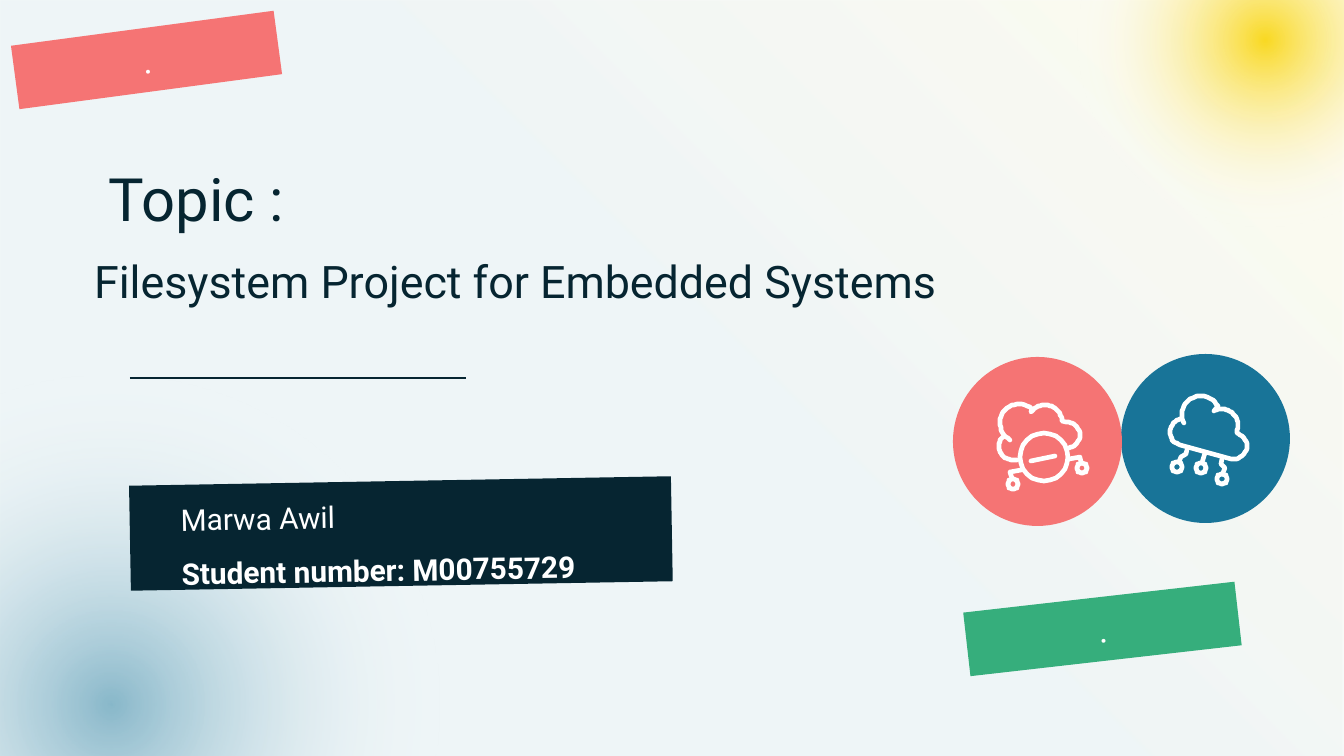
from math import cos, radians, sin

from lxml import etree
from pptx import Presentation
from pptx.dml.color import RGBColor
from pptx.enum.shapes import MSO_CONNECTOR, MSO_SHAPE
from pptx.enum.text import MSO_ANCHOR, PP_ALIGN
from pptx.oxml import parse_xml
from pptx.oxml.ns import nsdecls, qn
from pptx.util import Pt

PX = 6804
WIDTH, HEIGHT = 1344, 756
RECT, OVAL = MSO_SHAPE.RECTANGLE, MSO_SHAPE.OVAL
STRAIGHT = MSO_CONNECTOR.STRAIGHT
TOP, MIDDLE = MSO_ANCHOR.TOP, MSO_ANCHOR.MIDDLE
LEFT, CENTER = PP_ALIGN.LEFT, PP_ALIGN.CENTER
COLORS = {
    "ink": "062531",
    "white": "FFFFFF",
    "blue": "187498",
    "coral": "F57474",
    "green": "36AE7C",
    "yellow": "F9D923",
}
FRAME_FORMAT = {
    "word_wrap": True,
    "margin_left": 0,
    "margin_right": 0,
    "margin_top": 0,
    "margin_bottom": 0,
}
LINEAR = '<a:lin ang="18900000" scaled="0"/>'
RADIAL = ('<a:path path="circle"><a:fillToRect l="50000" t="50000" '
          'r="50000" b="50000"/></a:path>')
ICON_STROKE = 2.5
NODE_RADIUS = 5


def rgb(color):
    return RGBColor.from_string(COLORS[color])


def add_block(slide, kind, box, fill=None, rotation=0):
    block = slide.shapes.add_shape(kind, *(PX * side for side in box))
    block.shadow.inherit = False
    block.rotation = rotation
    block.line.fill.background()
    if fill:
        block.fill.solid()
        block.fill.fore_color.rgb = rgb(fill)
    else:
        block.fill.background()
    return block


def add_glow(slide, kind, box, stops, direction):
    glow = add_block(slide, kind, box)
    stop_list = "".join(
        f'<a:gs pos="{position * 1000}"><a:srgbClr val="{COLORS[color]}">'
        f'<a:alpha val="{opacity * 1000}"/></a:srgbClr></a:gs>'
        for position, color, opacity in stops)
    gradient = parse_xml(
        f'<a:gradFill {nsdecls("a")} rotWithShape="1">'
        f'<a:gsLst>{stop_list}</a:gsLst>{direction}</a:gradFill>')
    properties = glow._element.spPr
    properties.replace(properties.find(qn("a:noFill")), gradient)


def write_text(holder, lines, size, color, anchor=TOP, align=LEFT,
               spacing=1.0):
    frame = holder.text_frame
    for name, value in {**FRAME_FORMAT, "vertical_anchor": anchor}.items():
        setattr(frame, name, value)
    for index, (words, bold) in enumerate(lines):
        paragraph = frame.add_paragraph() if index else frame.paragraphs[0]
        paragraph.alignment = align
        paragraph.line_spacing = spacing
        run = paragraph.add_run()
        run.text = words
        font_format = {"name": "Roboto", "size": Pt(size), "bold": bold}
        for name, value in font_format.items():
            setattr(run.font, name, value)
        run.font.color.rgb = rgb(color)


def add_bullets(holder, color, indent):
    for paragraph in holder.text_frame.paragraphs:
        properties = paragraph._p.get_or_add_pPr()
        properties.set("marL", str(indent * PX))
        properties.set("indent", str(-indent * PX))
        bullet_color = etree.SubElement(properties, qn("a:buClr"))
        etree.SubElement(bullet_color, qn("a:srgbClr"), val=COLORS[color])
        etree.SubElement(properties, qn("a:buChar"), char="•")


def add_heading(slide, box, words, size):
    heading = slide.shapes.add_textbox(*(PX * side for side in box))
    write_text(heading, [(words, False)], size, "ink")


def add_tape(slide, box, fill, rotation):
    tape = add_block(slide, RECT, box, fill, rotation)
    write_text(tape, [(".", False)], 19, "white", MIDDLE, CENTER)


def set_stroke(outline, color, width):
    outline.line.color.rgb = rgb(color)
    outline.line.width = Pt(width)


def round_ends(stroke):
    stroke._element.spPr.get_or_add_ln().set("cap", "rnd")


def add_rule(slide, start, end, color, width):
    rule = slide.shapes.add_connector(
        STRAIGHT, *(PX * value for value in (*start, *end)))
    set_stroke(rule, color, width)
    etree.SubElement(rule._element.spPr, qn("a:effectLst"))
    return rule


def arc(x, y, radius, start=0, end=360, steps=24):
    angles = (radians(start + (end - start) * step / steps)
              for step in range(steps + 1))
    return [(x + radius * cos(angle), y + radius * sin(angle))
            for angle in angles]


def add_icon(slide, strokes):
    builder = slide.shapes.build_freeform(*strokes[0][0], scale=PX)
    for index, points in enumerate(strokes):
        if index:
            builder.move_to(*points[0])
        builder.add_line_segments(points[1:], close=False)
    icon = builder.convert_to_shape()
    icon.shadow.inherit = False
    icon.fill.background()
    set_stroke(icon, "white", ICON_STROKE)
    round_ends(icon)


def add_badge(slide, box, fill, clouds, legs, rings):
    add_block(slide, OVAL, box, fill)
    outlines = [[point for bump in cloud for point in arc(*bump)]
                for cloud in clouds]
    add_icon(slide, outlines + legs + [arc(*ring) for ring in rings])


def main():
    deck = Presentation()
    deck.slide_width, deck.slide_height = WIDTH * PX, HEIGHT * PX
    slide = deck.slides.add_slide(deck.slide_layouts[6])

    add_glow(slide, RECT, (0, 0, WIDTH, HEIGHT),
             [(0, "blue", 7), (50, "blue", 7), (100, "yellow", 7)], LINEAR)
    fade = [(50, "white", 0), (100, "white", 0)]
    add_glow(slide, OVAL, (1000, -225, 530, 530),
             [(0, "yellow", 100), *fade], RADIAL)
    add_glow(slide, OVAL, (-356, 237, 935, 935),
             [(0, "blue", 47), *fade], RADIAL)

    add_heading(slide, (94, 254, 945, 136),
                "Filesystem Project for Embedded Systems", 24)
    author = add_block(slide, RECT, (130, 481, 542, 105), "ink", 359)
    write_text(author,
               [("Marwa Awil", False), ("Student number: M00755729", True)],
               16, "white", MIDDLE, spacing=1.5)
    add_bullets(author, "ink", 51)
    add_rule(slide, (130, 378), (466, 378), "ink", 0.75)

    add_badge(
        slide, (1121, 354, 169, 169), "blue",
        clouds=[[(1201, 415, 19, 155, 332), (1222, 425, 16, 240, 377),
                 (1234, 446, 13, -75, 105), (1183, 432, 13, 105, 262)]],
        legs=[[(1187, 450), (1186, 454), (1181, 457), (1179, 462)],
              [(1205, 453), (1202, 463)],
              [(1222, 459), (1221, 464), (1225, 468), (1223, 473)]],
        rings=[(1177, 467, NODE_RADIUS), (1201, 468, NODE_RADIUS),
               (1222, 479, NODE_RADIUS)])
    add_badge(
        slide, (953, 357, 169, 169), "coral",
        clouds=[[(1019, 423, 19, 118, 312), (1045, 422, 17, 217, 358),
                 (1067, 435, 13, -95, 80)],
                [(1013, 446, 14, 75, 222)]],
        legs=[[(1021, 470), (1010, 472), (1012, 478)],
              [(1069, 459), (1080, 457), (1081, 462)]],
        rings=[(1013, 484, NODE_RADIUS), (1082, 468, NODE_RADIUS),
               (1044, 457, 24)])
    round_ends(add_rule(slide, (1031, 461), (1055, 456),
                        "white", ICON_STROKE))

    add_tape(slide, (966, 597, 273, 64), "green", 353.5)
    add_tape(slide, (14, 28, 265, 64), "coral", 352.4)
    add_heading(slide, (109, 162, 280, 93), "Topic :", 32)
    deck.save("out.pptx")


if __name__ == "__main__":
    main()
